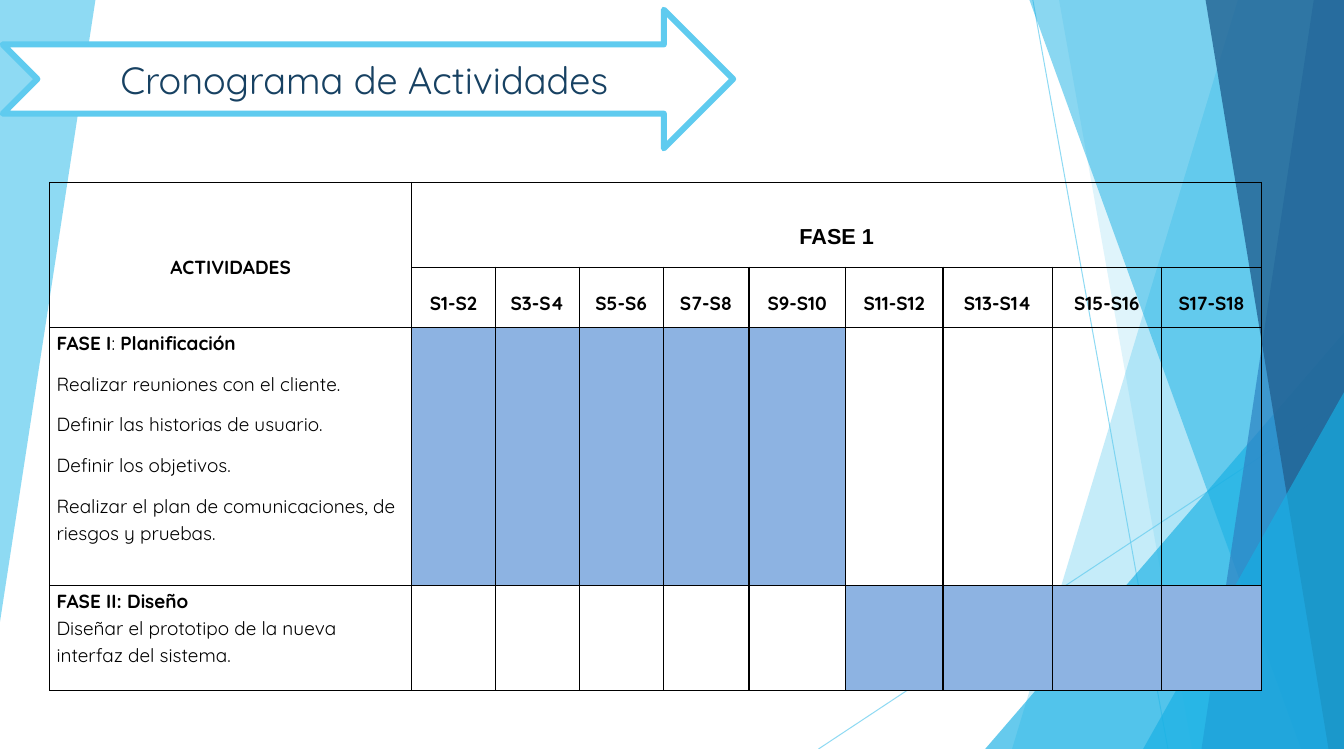
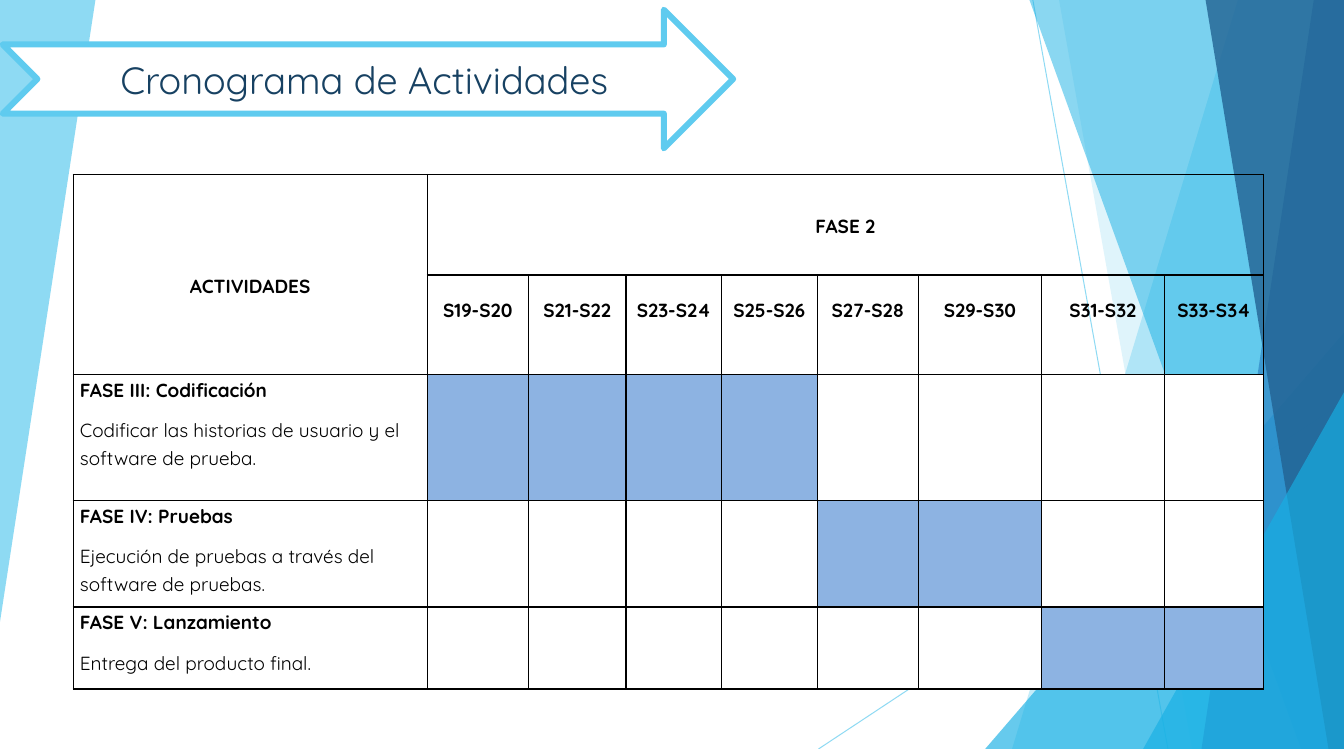
from dataclasses import dataclass
from typing import NamedTuple

from lxml.etree import SubElement as Sub
from pptx import Presentation
from pptx.dml.color import RGBColor as Rgb
from pptx.enum.shapes import MSO_CONNECTOR as Link, MSO_SHAPE as Kind
from pptx.enum.text import MSO_ANCHOR as Anchor, MSO_AUTO_SIZE as Fit, PP_ALIGN as Align
from pptx.oxml.ns import qn
from pptx.util import Inches, Pt


@dataclass(frozen=True)
class Theme:
    sky: str = "5FCBEF"
    cyan: str = "17B0E4"
    blue: str = "2E83C3"
    deep: str = "226292"
    navy: str = "174162"
    bar: str = "8DB3E2"
    black: str = "000000"
    white: str = "FFFFFF"
    font: str = "Quicksand"
    title: int = 28
    body: int = 14
    rule: float = 1
    hair: float = 0.75
    edge: float = 4.5
    inset: float = 0.07


class Box(NamedTuple):
    left: float
    top: float
    width: float
    height: float


class Phase(NamedTuple):
    head: list
    lines: list
    first: int
    last: int
    after: int = 10


THEME = Theme()
WIDE, HIGH = Inches(13.78), Inches(7.68)
ARROW = Box(0.2, 1.3, 54.35, 18.5)

DECOR = [
    ("poly", [(0, 0), (7.1, 0), (0, 83)], THEME.sky, 70),
    ("line", [(76.85, 0), (86.9, 100)], THEME.sky, 70),
    ("line", [(100, 53.6), (60.9, 100)], THEME.sky, 70),
    ("poly", [(92.1, 0), (100, 0), (100, 100), (75.3, 100)], THEME.sky, 36),
    ("poly", [(78.8, 0), (100, 0), (100, 100), (88.7, 100)], THEME.sky, 20),
    ("wedge", [(73.3, 44.4), (100, 100)], THEME.cyan, 66),
    ("poly", [(76.6, 0), (100, 0), (100, 100), (96.8, 100)], THEME.cyan, 50),
    ("poly", [(97.75, 0), (100, 0), (100, 100), (89.4, 100)], THEME.blue, 70),
    ("poly", [(89.7, 0), (100, 0), (100, 100), (98.85, 100)], THEME.deep, 80),
    ("wedge", [(85.05, 52.35), (100, 100)], THEME.cyan, 66),
]


def across(share):
    return round(WIDE * share / 100)


def down(share):
    return round(HIGH * share / 100)


def place(box):
    return across(box.left), down(box.top), across(box.width), down(box.height)


def split(total, parts):
    return [round(total * part / sum(parts)) for part in parts]


def write(para, text, font=THEME.font, size=THEME.body, color=THEME.black,
          bold=False, align=Align.LEFT, pitch=1.0, after=0):
    para.alignment, para.line_spacing, para.space_after = align, pitch, Pt(after)
    pieces = [(text, bold)] if isinstance(text, str) else text
    for words, heavy in pieces:
        run = para.add_run()
        run.text = words
        run.font.name, run.font.size, run.font.bold = font, Pt(size), heavy
        run.font.color.rgb = Rgb.from_string(color)


def paint(fill, color):
    fill.solid()
    fill.fore_color.rgb = Rgb.from_string(color)


def fade(shape, share):
    for tone in shape.element.iter(qn("a:srgbClr")):
        Sub(tone, qn("a:alpha"), val=str(share * 1000))


def draw(shapes, kind, points, color, share):
    spots = [(across(x), down(y)) for x, y in points]
    start, end = spots[0], spots[-1]
    if kind == "line":
        shape = shapes.add_connector(Link.STRAIGHT, *start, *end)
        paint(shape.line.fill, color)
        shape.line.width = Pt(THEME.hair)
        Sub(shape.element.spPr, qn("a:effectLst"))
    else:
        if kind == "poly":
            pen = shapes.build_freeform(*start, scale=1.0)
            pen.add_line_segments(spots[1:], close=True)
            shape = pen.convert_to_shape()
        else:
            size = end[0] - start[0], end[1] - start[1]
            shape = shapes.add_shape(Kind.ISOSCELES_TRIANGLE, *start, *size)
            shape.adjustments[0] = 1
        shape.shadow.inherit = False
        paint(shape.fill, color)
        shape.line.fill.background()
    fade(shape, share)
    return shape


def backdrop(slide):
    layout = slide.slide_layout
    for spare in list(layout.placeholders)[1:]:
        layout.shapes.element.remove(spare.element)
    for shape in [draw(slide.shapes, *item) for item in DECOR]:
        layout.shapes.element.append(shape.element)


def banner(slide, box, text):
    arrow = slide.shapes.add_shape(Kind.NOTCHED_RIGHT_ARROW, *place(box))
    arrow.shadow.inherit = False
    paint(arrow.fill, THEME.white)
    paint(arrow.line.fill, THEME.sky)
    arrow.line.width = Pt(THEME.edge)
    title = slide.shapes.title
    title.element.addprevious(arrow.element)
    title.left, title.top, title.width, title.height = place(Box(
        box.left + box.width * 0.05, box.top + box.height / 4,
        box.width * 0.89, box.height / 2))
    frame = title.text_frame
    frame.auto_size, frame.word_wrap = Fit.NONE, True
    frame.vertical_anchor = Anchor.MIDDLE
    write(frame.paragraphs[0], text, size=THEME.title, color=THEME.navy,
          align=Align.CENTER)


def frame_cell(cell):
    props = cell._tc.get_or_add_tcPr()
    for side in ("lnL", "lnR", "lnT", "lnB"):
        line = Sub(props, qn("a:" + side), w=str(Pt(THEME.rule)))
        Sub(Sub(line, qn("a:solidFill")), qn("a:srgbClr"), val=THEME.black)
    cell.margin_left = cell.margin_right = Inches(THEME.inset)
    cell.margin_top = cell.margin_bottom = 0
    cell.fill.background()


def label(cell, text, anchor=Anchor.TOP, pitch=2.0, **style):
    cell.vertical_anchor = anchor
    write(cell.text_frame.paragraphs[0], text, bold=True, align=Align.CENTER,
          pitch=pitch, **style)


def gantt(slide, box, cols, rows, stage, start, phases, blank=None, **style):
    spot = place(box)
    table = slide.shapes.add_table(len(rows), len(cols), *spot).table
    table.first_row = table.horz_banding = False
    for col, width in zip(table.columns, split(spot[2], cols)):
        col.width = width
    for row, height in zip(table.rows, split(spot[3], rows)):
        row.height = height
    for cell in table.iter_cells():
        frame_cell(cell)

    table.cell(0, 0).merge(table.cell(1, 0))
    table.cell(0, 1).merge(table.cell(0, len(cols) - 1))
    label(table.cell(0, 0), "ACTIVIDADES", anchor=Anchor.MIDDLE)
    label(table.cell(0, 1), stage, anchor=Anchor.MIDDLE, **style)
    for col in range(1, len(cols)):
        week = start + 2 * (col - 1)
        label(table.cell(1, col), f"S{week}-S{week + 1}")

    for row, phase in enumerate(phases, 2):
        frame = table.cell(row, 0).text_frame
        for index, text in enumerate([phase.head, *phase.lines]):
            para = frame.add_paragraph() if index else frame.paragraphs[0]
            write(para, text, bold=not index, pitch=1.15, after=phase.after)
        for col in range(1, len(cols)):
            color = THEME.bar if phase.first <= col <= phase.last else blank
            if color:
                paint(table.cell(row, col).fill, color)


def main():
    deck = Presentation()
    deck.slide_width, deck.slide_height = WIDE, HIGH
    layout = deck.slide_layouts[5]
    one, two = [deck.slides.add_slide(layout) for _ in range(2)]
    backdrop(one)
    for slide in (one, two):
        banner(slide, ARROW, "Cronograma de Actividades")

    gantt(one, Box(3.7, 24.35, 90.2, 67.8),
          [3.71, 0.86, 0.86, 0.86, 0.88, 0.99, 1, 1.12, 1.12, 1.03],
          [0.87, 0.62, 2.64, 1.07], "FASE 1", 1, [
              Phase([("FASE I", True), (": ", False), ("Planificación", True)], [
                  "Realizar reuniones con el cliente.",
                  "Definir las historias de usuario.",
                  "Definir los objetivos.",
                  "Realizar el plan de comunicaciones, de riesgos y pruebas.",
              ], 1, 5),
              Phase("FASE II: Diseño", [
                  "Diseñar el prototipo de la nueva interfaz del sistema.",
              ], 6, 9, after=0),
          ], font="Arial", size=16)

    gantt(two, Box(5.44, 23.3, 88.6, 68.7),
          [3.63, 1.04, 1, 0.98, 0.98, 1.04, 1.26, 1.26, 1.02],
          [1.03, 1.02, 1.29, 1.09, 0.84], "FASE 2", 19, [
              Phase("FASE III: Codificación", [
                  "Codificar las historias de usuario y el software de prueba.",
              ], 1, 4),
              Phase("FASE IV: Pruebas", [
                  "Ejecución de pruebas a través del software de pruebas.",
              ], 5, 6),
              Phase("FASE V: Lanzamiento", ["Entrega del producto final."], 7, 8),
          ], blank=THEME.white, pitch=1.15, after=10)

    deck.save("out.pptx")


if __name__ == "__main__":
    main()
